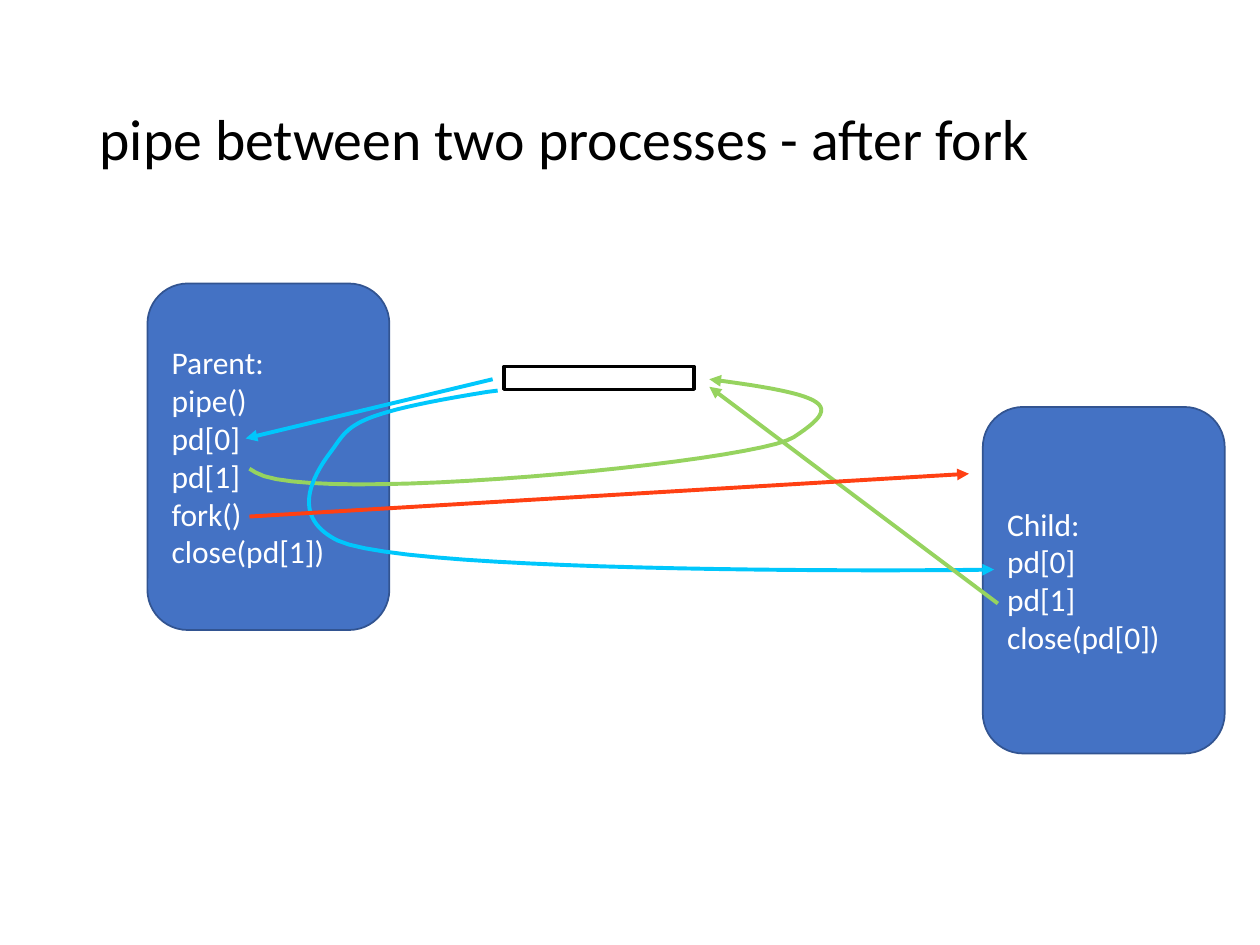
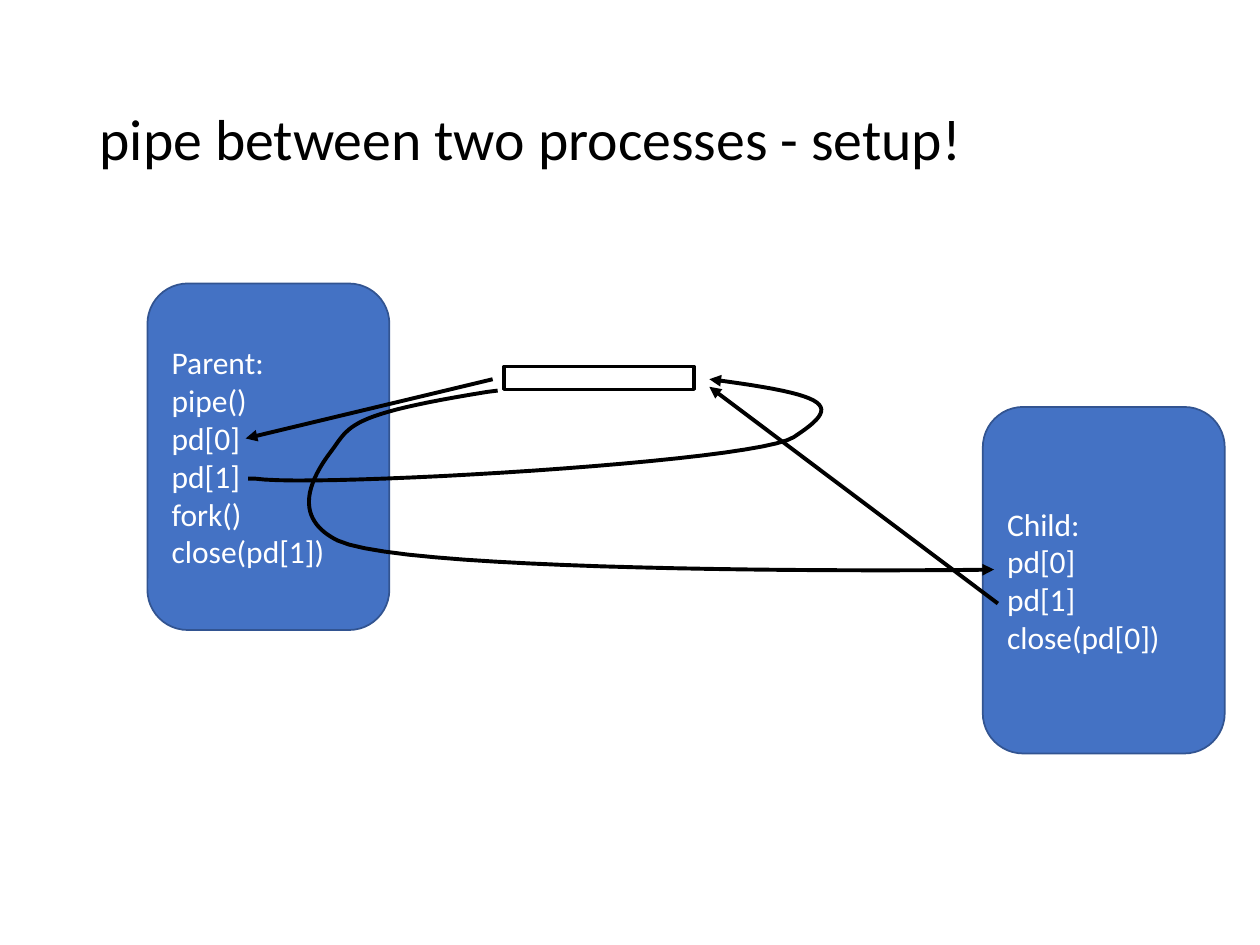
from lxml import etree
from pptx import Presentation
from pptx.dml.color import RGBColor
from pptx.enum.shapes import MSO_CONNECTOR, MSO_SHAPE
from pptx.enum.text import MSO_ANCHOR, MSO_AUTO_SIZE, PP_ALIGN
from pptx.oxml.ns import qn
from pptx.util import Inches, Pt

ROUND, RECT = MSO_SHAPE.ROUNDED_RECTANGLE, MSO_SHAPE.RECTANGLE
STRAIGHT = MSO_CONNECTOR.STRAIGHT
MIDDLE, LEFT = MSO_ANCHOR.MIDDLE, PP_ALIGN.LEFT
NO_FIT = MSO_AUTO_SIZE.NONE

HEX = {"box": "4472C4", "edge": "325491", "white": "FFFFFF", "black": "000000",
       "read": "00C7FC", "write": "96D35F", "fork": "FF4013"}
STEPS = 24

# Left, top and lines of each process box
BOXES = [
    (7.8, 3.23, ["Child:", "pd[0]", "pd[1]", "close(pd[0])"]),
    (1.17, 2.25, ["Parent:", "pipe()", "pd[0]", "pd[1]", "fork()", "close(pd[1])"]),
]
TITLE_FONT = {"name": "Calibri", "size": Pt(33), "bold": False}
BOX_FONT = {"name": "Calibri", "size": Pt(18)}

# A curve is a start, one straight step, then Bezier points in threes
READ_CURVE = [(3.95, 3.1), (3.87, 3.11),
              (2.75, 3.29), (2.78, 3.38), (2.63, 3.58),
              (2.34, 3.96), (2.44, 4.17), (2.68, 4.29),
              (3.25, 4.56), (7.51, 4.53), (7.89, 4.52)]
WRITE_END = [(6, 3.67), (6.3, 3.47), (6.68, 3.22), (6.63, 3.14), (5.63, 3.01)]
READ_LINE = (3.91, 3.01, 1.95, 3.48)
WRITE_LINE = (7.92, 4.79, 5.63, 3.07)
FORK_LINE = (1.98, 4.1, 7.69, 3.76)

SLIDES = [
    {"title": "pipe between two processes - after fork",
     "read": "read", "write": "write",
     "start": [(1.98, 3.72), (2.03, 3.75), (2.44, 4.01)],
     "extra": [(FORK_LINE, "fork")]},
    {"title": "pipe between two processes - setup!",
     "read": "black", "write": "black",
     "start": [(1.97, 3.8), (2.03, 3.8), (2.5, 3.87)],
     "extra": []},
]


def trace(curve):
    """Return the points of a curve, in EMU, after its start."""
    spots = [curve[1]]
    for i in range(2, len(curve), 3):
        a, b, c, d = curve[i - 1:i + 3]
        for n in range(1, STEPS + 1):
            t = n / STEPS
            u = 1 - t
            spots.append([u**3 * p + 3 * u * u * t * q + 3 * u * t * t * r + t**3 * s
                          for p, q, r, s in zip(a, b, c, d)])
    return [(Inches(x), Inches(y)) for x, y in spots]


def arrow(shape, tint):
    """Give a line or curve its colour, width and arrowhead."""
    shape.line.color.rgb = RGBColor.from_string(HEX[tint])
    shape.line.width = Pt(2.25)
    etree.SubElement(shape.line._get_or_add_ln(), qn("a:tailEnd"), type="triangle")
    etree.SubElement(shape._element.spPr, qn("a:effectLst"))


prs = Presentation()
prs.slide_width, prs.slide_height = Inches(10), Inches(7.5)

for page in SLIDES:
    slide = prs.slides.add_slide(prs.slide_layouts[5])
    shapes = slide.shapes

    title = shapes.title
    title.left, title.top = Inches(0.69), Inches(0.4)
    title.width, title.height = Inches(8.62), Inches(1.45)
    frame = title.text_frame
    frame.text = page["title"]
    frame.auto_size = NO_FIT
    frame.vertical_anchor = MIDDLE
    para = frame.paragraphs[0]
    para.alignment, para.line_spacing = LEFT, 0.9
    font = para.runs[0].font
    for key, value in TITLE_FONT.items():
        setattr(font, key, value)
    font.color.rgb = RGBColor.from_string(HEX["black"])

    for left, top, lines in BOXES:
        box = shapes.add_shape(ROUND, Inches(left), Inches(top), Inches(1.92), Inches(2.75))
        box.shadow.inherit = False
        box.fill.solid()
        box.fill.fore_color.rgb = RGBColor.from_string(HEX["box"])
        box.line.color.rgb = RGBColor.from_string(HEX["edge"])
        box.line.width = Pt(1)
        frame = box.text_frame
        frame.text = "\n".join(lines)
        frame.vertical_anchor = MIDDLE
        for para in frame.paragraphs:
            para.alignment = LEFT
            font = para.runs[0].font
            for key, value in BOX_FONT.items():
                setattr(font, key, value)
            font.color.rgb = RGBColor.from_string(HEX["white"])

    pipe = shapes.add_shape(RECT, Inches(4), Inches(2.91), Inches(1.51), Inches(0.18))
    pipe.shadow.inherit = False
    pipe.fill.background()
    pipe.line.color.rgb = RGBColor.from_string(HEX["black"])
    pipe.line.width = Pt(2)

    for curve, tint in [(page["start"] + WRITE_END, page["write"]),
                        (READ_CURVE, page["read"])]:
        x, y = curve[0]
        pen = shapes.build_freeform(Inches(x), Inches(y))
        pen.add_line_segments(trace(curve), close=False)
        bend = pen.convert_to_shape()
        bend.fill.background()
        arrow(bend, tint)

    for ends, tint in [(WRITE_LINE, page["write"]), (READ_LINE, page["read"])] + page["extra"]:
        arrow(shapes.add_connector(STRAIGHT, *map(Inches, ends)), tint)

prs.save("out.pptx")
